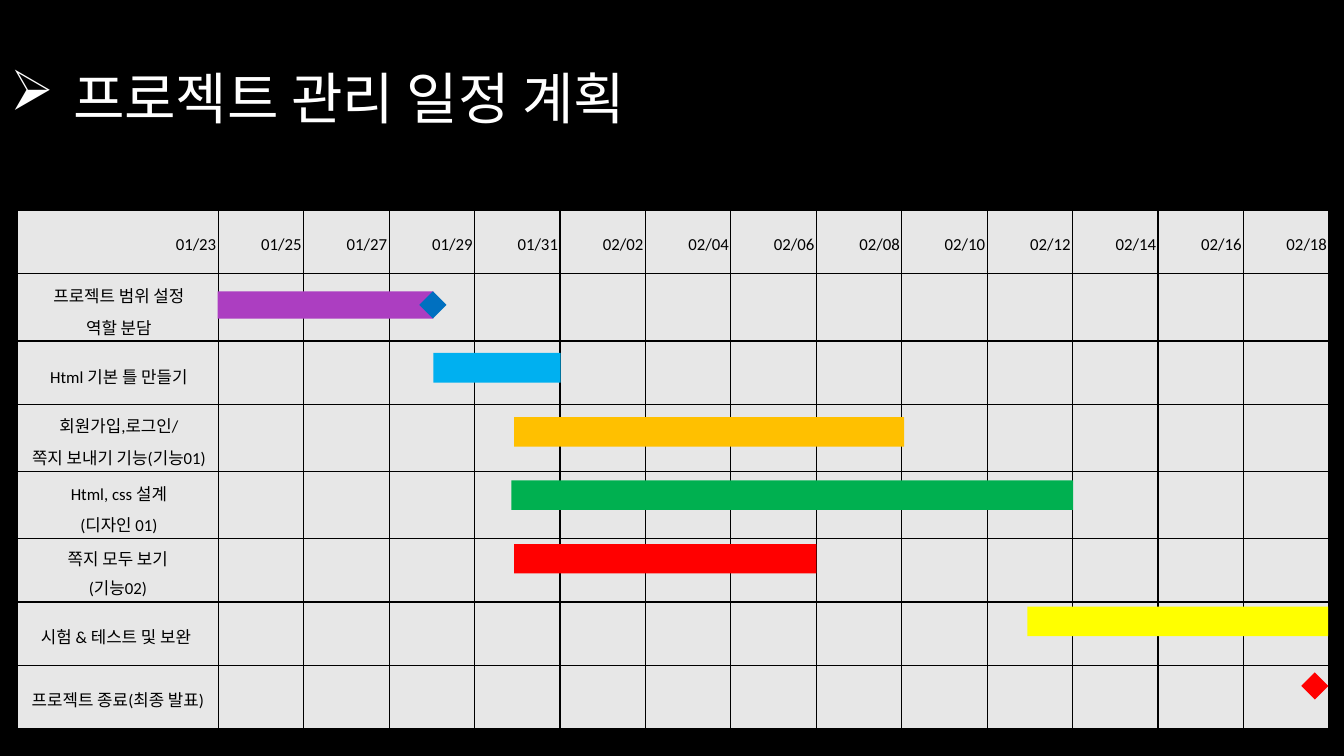
"""Build a project schedule slide with a Gantt chart."""
import dataclasses

import pptx
import pptx.dml.color
import pptx.enum.shapes
import pptx.enum.text
import pptx.oxml
import pptx.oxml.ns
import pptx.util

Pt = pptx.util.Pt
ALIGN = pptx.enum.text.PP_ALIGN
MIDDLE = pptx.enum.text.MSO_ANCHOR.MIDDLE
RECT = pptx.enum.shapes.MSO_SHAPE.RECTANGLE
DIAMOND = pptx.enum.shapes.MSO_SHAPE.DIAMOND
KOREAN = "Noto Sans CJK KR"
BLACK, WHITE, GREY = "000000", "FFFFFF", "E7E7E7"
LABEL_W, DATE_W, ROW_H = 143.4, 61.05, 45.2


@dataclasses.dataclass
class Task:
    label: str
    spacing: float = 1.3
    margin: float = 0
    indent: float = 0


@dataclasses.dataclass
class Mark:
    left: float
    top: float
    width: float
    height: float
    color: str
    kind: pptx.enum.shapes.MSO_SHAPE = RECT


TASKS = [
    Task("프로젝트 범위 설정\n역할 분담", margin=11.5, indent=-10),
    Task("Html 기본 틀 만들기", margin=11.5, indent=-10),
    Task("회원가입,로그인/\n쪽지 보내기 기능(기능01)", margin=11.5, indent=-10),
    Task("Html, css 설계\n(디자인 01)", margin=11.5, indent=-10),
    Task("쪽지 모두 보기\n(기능02)", 1.2),
    Task("시험 & 테스트 및 보완 ", 1.2),
    Task("프로젝트 종료(최종 발표)", 1.2),
]
MARKS = [
    Mark(929.5, 480.3, 19.4, 19.4, "FF0000", DIAMOND),
    Mark(155.5, 208.1, 154, 19.6, "AC3EC1"),
    Mark(309.6, 252, 90.9, 21.4, "00B0F0"),
    Mark(367.2, 298, 278.6, 21, "FFC000"),
    Mark(365.3, 343.2, 401.2, 21, "00B050"),
    Mark(367.2, 388.6, 216, 21, "FF0000"),
    Mark(733.9, 433.4, 214.8, 21, "FFFF00"),
    Mark(299.5, 208.1, 19.4, 19.4, "0070C0", DIAMOND),
]


def rgb(color: str) -> pptx.dml.color.RGBColor:
    """Turn a hex string into a colour."""
    return pptx.dml.color.RGBColor.from_string(color)


def paint(fill, color: str) -> None:
    """Make a fill solid."""
    fill.solid()
    fill.fore_color.rgb = rgb(color)


def write(tf, text: str, *, size: float, font: str, color: str, align,
          spacing: float, margin: float = 0, indent: float = 0, bullet: str = "") -> None:
    """Write one paragraph for each line of text."""
    for i, line in enumerate(text.split("\n")):
        p = tf.add_paragraph() if i else tf.paragraphs[0]
        p.alignment, p.line_spacing = align, spacing
        p.space_before = p.space_after = Pt(0)
        pr = p._p.get_or_add_pPr()
        pr.set("marL", str(Pt(margin)))
        pr.set("indent", str(Pt(indent)))
        if bullet:
            pptx.oxml.ns.qn("a:buChar")
            pr.append(pptx.oxml.parse_xml(
                f'<a:buChar {pptx.oxml.ns.nsdecls("a")} char="{bullet}"/>'))
        r = p.add_run()
        r.text = line
        r.font.size, r.font.name = Pt(size), font
        r.font.color.rgb = rgb(color)
        r._r.get_or_add_rPr().append(pptx.oxml.parse_xml(
            f'<a:ea {pptx.oxml.ns.nsdecls("a")} typeface="{KOREAN}"/>'))


def style_cell(cell) -> None:
    """Give a cell its fill, margins and black borders."""
    paint(cell.fill, GREY)
    cell.vertical_anchor = MIDDLE
    cell.margin_left = cell.margin_right = Pt(1.4)
    cell.margin_top = cell.margin_bottom = Pt(1.4)
    pr = cell._tc.get_or_add_tcPr()
    for i, side in enumerate(("lnL", "lnR", "lnT", "lnB")):
        pr.insert(i, pptx.oxml.parse_xml(
            f'<a:{side} {pptx.oxml.ns.nsdecls("a")} w="{Pt(1)}"><a:solidFill>'
            f'<a:srgbClr val="{BLACK}"/></a:solidFill></a:{side}>'))


def add_title(s) -> None:
    """Place and write the title."""
    sp = s.shapes.title
    sp.left, sp.top, sp.width, sp.height = Pt(0), Pt(0), Pt(798), Pt(114.5)
    tf = sp.text_frame
    tf.vertical_anchor = MIDDLE
    tf.auto_size = pptx.enum.text.MSO_AUTO_SIZE.NONE
    write(tf, "프로젝트 관리 일정 계획", size=40, font=KOREAN, color=WHITE,
          align=ALIGN.LEFT, spacing=1.5, margin=45, indent=-45, bullet="➢")


def add_schedule(s) -> None:
    """Add the grid of dates and tasks."""
    days = range(23, 50, 2)
    dates = [f"01/{d}" if d <= 31 else f"02/{d - 31:02}" for d in days]
    rows, cols = len(TASKS) + 1, len(dates)
    table = s.shapes.add_table(rows, cols, Pt(12.5), Pt(150.3),
                               Pt(LABEL_W + DATE_W * (cols - 1)), Pt(ROW_H * rows)).table
    for row in table.rows:
        row.height = Pt(ROW_H)
    for i, col in enumerate(table.columns):
        col.width = Pt(DATE_W if i else LABEL_W)
    for cell in table.iter_cells():
        style_cell(cell)
    for i, date in enumerate(dates):
        write(table.cell(0, i).text_frame, date, size=12, font="Calibri", color=BLACK,
              align=ALIGN.RIGHT, spacing=1.3, margin=23 if i else 11.5,
              indent=-15 if i else -10)
    for i, task in enumerate(TASKS, 1):
        write(table.cell(i, 0).text_frame, task.label, size=12, font="Calibri",
              color=BLACK, align=ALIGN.CENTER, spacing=task.spacing,
              margin=task.margin, indent=task.indent)


def add_mark(s, mark: Mark) -> None:
    """Draw a task bar or a milestone."""
    sp = s.shapes.add_shape(mark.kind, Pt(mark.left), Pt(mark.top),
                            Pt(mark.width), Pt(mark.height))
    sp.shadow.inherit = False
    paint(sp.fill, mark.color)
    sp.line.fill.background()


def main() -> None:
    """Build and save the slide."""
    prs = pptx.Presentation()
    prs.slide_width, prs.slide_height = Pt(960), Pt(540)
    s = prs.slides.add_slide(prs.slide_layouts[5])
    paint(s.background.fill, BLACK)
    add_title(s)
    add_schedule(s)
    for mark in MARKS:
        add_mark(s, mark)
    prs.save("out.pptx")


main()
